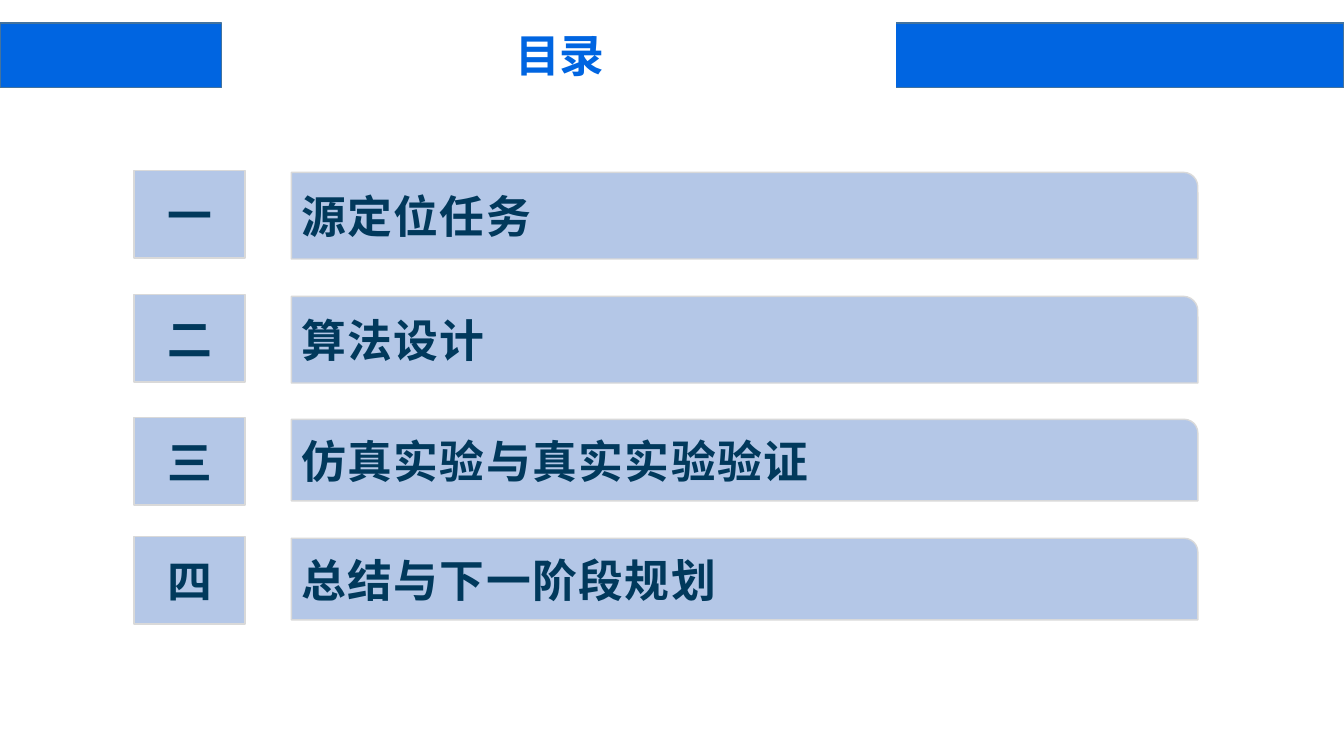
import dataclasses

import pptx
import pptx.dml.color
import pptx.enum.shapes
import pptx.enum.text
import pptx.oxml.ns
import pptx.util
from lxml import etree

SHAPES = pptx.enum.shapes.MSO_SHAPE
ALIGN = pptx.enum.text.PP_ALIGN
ANCHOR = pptx.enum.text.MSO_ANCHOR


@dataclasses.dataclass(frozen=True)
class Theme:
    """Colours, font and sizes of the deck."""
    font: str = "Noto Sans CJK SC"
    text_size: int = 32
    line_width: int = 1
    background: str = "FFFFFF"
    accent: str = "0065E1"
    accent_line: str = "43739E"
    panel: str = "B4C7E7"
    panel_line: str = "D9D9D9"
    panel_text: str = "01395C"


THEME = Theme()
WIDTH, HEIGHT = 13.33, 7.5
HEADER_BOX = (0, 0.2, WIDTH, 0.76)
AGENDA_BOX = (1.33, 1.71, 10.55, 4.48)
AGENDA = [
    ("一", "源定位任务", 0, 0.86),
    ("二", "算法设计", 1.23, 0.86),
    ("三", "仿真实验与真实实验验证", 2.45, 0.81),
    ("四", "总结与下一阶段规划", 3.63, 0.81),
]


def colour(value):
    """Turn a hexadecimal string into a colour."""
    return pptx.dml.color.RGBColor.from_string(value)


def place(shape, box):
    """Move a shape to a box given in inches."""
    shape.left, shape.top, shape.width, shape.height = map(pptx.util.Inches, box)


def add_panel(slide, kind, box, fill, line):
    """Add a filled and outlined preset shape."""
    shape = slide.shapes.add_shape(kind, *map(pptx.util.Inches, box))
    shape.shadow.inherit = False
    shape.fill.solid()
    shape.fill.fore_color.rgb = colour(fill)
    shape.line.color.rgb = colour(line)
    shape.line.width = pptx.util.Pt(THEME.line_width)
    return shape


def write_text(shape, text, *, text_colour, align=ALIGN.LEFT, wrap=True,
               line_spacing=None, letter_spacing=0):
    """Write one bold, vertically centred paragraph into a shape."""
    frame = shape.text_frame
    frame.text = text
    frame.auto_size = pptx.enum.text.MSO_AUTO_SIZE.NONE
    frame.word_wrap = wrap
    frame.vertical_anchor = ANCHOR.MIDDLE
    paragraph = frame.paragraphs[0]
    paragraph.alignment = align
    paragraph.line_spacing = line_spacing
    font = paragraph.runs[0].font
    font.size = pptx.util.Pt(THEME.text_size)
    font.bold = True
    font.color.rgb = colour(text_colour)
    font.name = THEME.font
    properties = paragraph.runs[0]._r.get_or_add_rPr()
    properties.set("spc", str(letter_spacing * 100))
    latin = properties.find(pptx.oxml.ns.qn("a:latin"))
    east_asian = etree.Element(pptx.oxml.ns.qn("a:ea"), typeface=THEME.font)
    latin.addnext(east_asian)


def build_header(slide, box, text):
    """Place the two header bars and the title between them."""
    left, top, width, height = box
    for start, end in ((0, 2.2), (7.41, width)):
        add_panel(slide, SHAPES.RECTANGLE, (left + start, top + 0.03, end - start, 0.64),
                  THEME.accent, THEME.accent_line)
    title = slide.shapes.title
    place(title, (left + width / 6, top, width / 2, height))
    title.fill.solid()
    title.fill.fore_color.rgb = colour(THEME.background)
    write_text(title, text, text_colour=THEME.accent, align=ALIGN.CENTER,
               wrap=False, line_spacing=0.9)
    title.element.getparent().append(title.element)


def build_agenda_row(slide, box, number, text):
    """Place a number tile and its topic bar."""
    left, top, width, height = box
    bar_offset = 1.56
    parts = (
        (SHAPES.ROUND_1_RECTANGLE, (left + bar_offset, top, width - bar_offset, height),
         text, ALIGN.LEFT),
        (SHAPES.RECTANGLE, (left, top - 0.02, 1.1, 0.87), number, ALIGN.CENTER),
    )
    for kind, part_box, label, align in parts:
        panel = add_panel(slide, kind, part_box, THEME.panel, THEME.panel_line)
        write_text(panel, label, text_colour=THEME.panel_text, align=align,
                   letter_spacing=1)


def build_agenda(slide, box, rows):
    """Stack the agenda rows inside the box."""
    left, top, width, _ = box
    for number, text, offset, row_height in rows:
        build_agenda_row(slide, (left, top + offset, width, row_height), number, text)


def main():
    """Build and save the contents slide."""
    presentation = pptx.Presentation()
    presentation.slide_width = pptx.util.Inches(WIDTH)
    presentation.slide_height = pptx.util.Inches(HEIGHT)
    slide = presentation.slides.add_slide(presentation.slide_layouts.get_by_name("Title Only"))
    build_header(slide, HEADER_BOX, "目录")
    build_agenda(slide, AGENDA_BOX, AGENDA)
    presentation.save("out.pptx")


if __name__ == "__main__":
    main()
